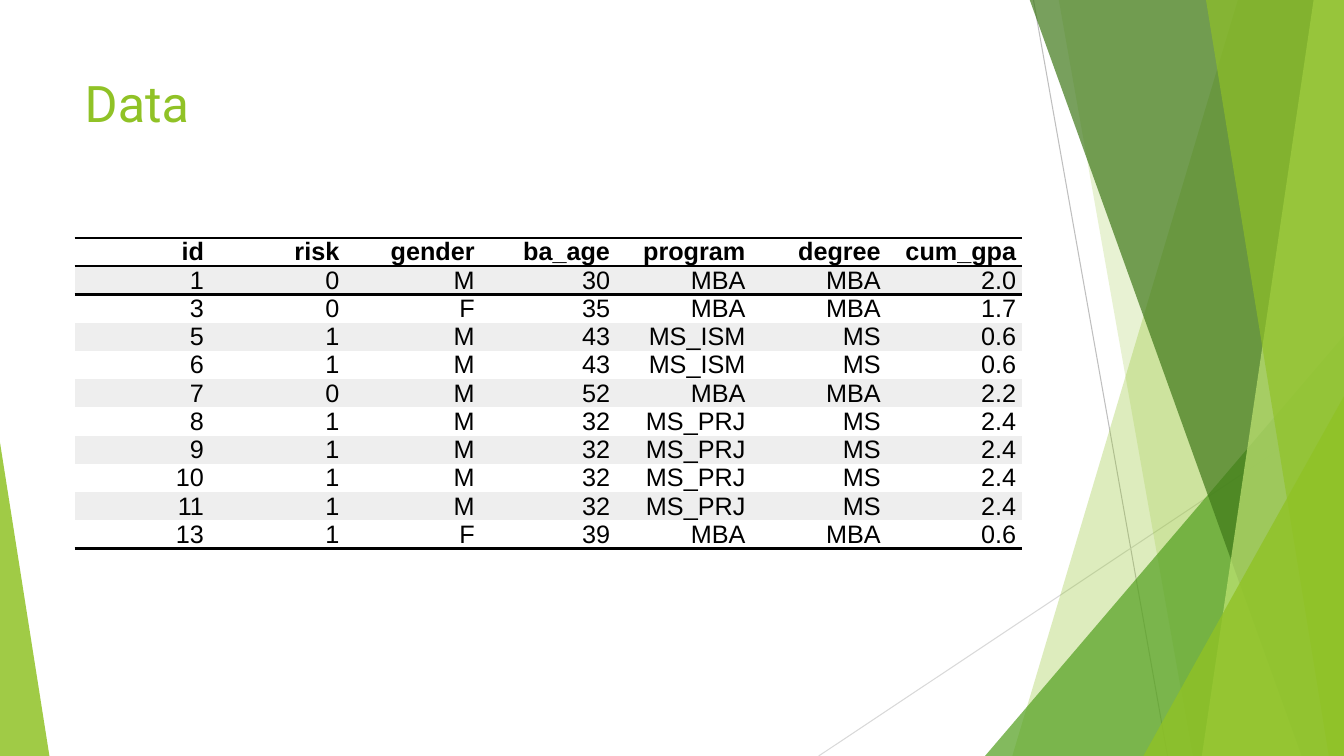
from dataclasses import dataclass

from lxml.etree import SubElement
from pptx import Presentation
from pptx.dml.color import RGBColor as RGB
from pptx.enum.shapes import MSO_CONNECTOR as CONN, MSO_SHAPE as SHAPE
from pptx.enum.text import MSO_ANCHOR as ANCHOR, PP_ALIGN as ALIGN
from pptx.oxml import parse_xml
from pptx.oxml.ns import nsdecls, qn
from pptx.util import Pt

PX = 9144  # EMU per px, 100 px to the inch
SLIDE_W, SLIDE_H = 1333, 750
NO_STYLE = "{2D5ABB26-0587-4C30-8999-92F81FD0307C}"


@dataclass(frozen=True)
class Theme:
    lime: str = "90C226"
    green: str = "54A021"
    forest: str = "3F7819"
    pale: str = "C0E474"
    ink: str = "000000"
    stripe: str = "EEEEEE"
    white: str = "FFFFFF"
    line_dark: str = "BFBFBF"
    line_light: str = "D9D9D9"
    title_font: str = "Roboto"
    table_font: str = "Arial"
    title_size: int = 36
    table_size: int = 18
    rule_width: int = 2


T = Theme()

HEADER = ["id", "risk", "gender", "ba_age", "program", "degree", "cum_gpa"]
STUDENTS = [
    ["1", "0", "M", "30", "MBA", "MBA", "2.0"],
    ["3", "0", "F", "35", "MBA", "MBA", "1.7"],
    ["5", "1", "M", "43", "MS_ISM", "MS", "0.6"],
    ["6", "1", "M", "43", "MS_ISM", "MS", "0.6"],
    ["7", "0", "M", "52", "MBA", "MBA", "2.2"],
    ["8", "1", "M", "32", "MS_PRJ", "MS", "2.4"],
    ["9", "1", "M", "32", "MS_PRJ", "MS", "2.4"],
    ["10", "1", "M", "32", "MS_PRJ", "MS", "2.4"],
    ["11", "1", "M", "32", "MS_PRJ", "MS", "2.4"],
    ["13", "1", "F", "39", "MBA", "MBA", "0.6"],
]


def px(*values):
    return [v * PX for v in values]


def paint(sp, color, alpha):
    """Flat fill with an opacity in percent, no outline or shadow."""
    sp.shadow.inherit = False
    sp.line.fill.background()
    sp.fill.solid()
    sp.fill.fore_color.rgb = RGB.from_string(color)
    clr = sp._element.spPr.find(".//" + qn("a:srgbClr"))
    SubElement(clr, qn("a:alpha")).set("val", str(alpha * 1000))


def add_ray(slide, start, end, color):
    line = slide.shapes.add_connector(CONN.STRAIGHT, *px(*start, *end))
    line.line.color.rgb = RGB.from_string(color)
    line.line.width = Pt(0.75)
    SubElement(line._element.spPr, qn("a:effectLst"))


def add_band(slide, top_x, bottom_x, color, alpha):
    """Full-height band from a slanted left side to the right slide edge."""
    fb = slide.shapes.build_freeform(top_x, -1, scale=PX)
    corners = [(SLIDE_W, -1), (SLIDE_W, SLIDE_H), (bottom_x, SLIDE_H)]
    fb.add_line_segments(corners, close=True)
    paint(fb.convert_to_shape(), color, alpha)


def add_corner(slide, left, top, width, apex, color, alpha):
    """Right triangle standing on the bottom edge of the slide."""
    box = px(left, top, width, SLIDE_H - top)
    sp = slide.shapes.add_shape(SHAPE.ISOSCELES_TRIANGLE, *box)
    sp.adjustments[0] = apex
    paint(sp, color, alpha)


def add_run(p, text, font, size, color, bold=False):
    r = p.add_run()
    r.text = text
    r.font.name, r.font.size, r.font.bold = font, Pt(size), bold
    r.font.color.rgb = RGB.from_string(color)


def add_title(slide, text):
    sp = slide.shapes.title
    sp.left, sp.top, sp.width, sp.height = px(74, 67, 940, 144)
    tf = sp.text_frame
    tf.word_wrap = True
    tf.vertical_anchor = ANCHOR.TOP
    p = tf.paragraphs[0]
    p.alignment = ALIGN.LEFT
    add_run(p, text, T.title_font, T.title_size, T.lime)
    slide.shapes._spTree.append(sp._element)  # in front of the decoration


def add_rule(cell, tag):
    """Cell border; tag is a:lnT or a:lnB."""
    cell._tc.get_or_add_tcPr().insert(0, parse_xml(
        f'<{tag} {nsdecls("a")} w="{Pt(T.rule_width)}"><a:solidFill>'
        f'<a:srgbClr val="{T.ink}"/></a:solidFill></{tag}>'))


def fill_cell(cell, text, fill, bold):
    cell.margin_left = cell.margin_right = 0
    cell.margin_top = cell.margin_bottom = 0
    cell.vertical_anchor = ANCHOR.MIDDLE
    if fill:
        cell.fill.solid()
        cell.fill.fore_color.rgb = RGB.from_string(fill)
    else:
        cell.fill.background()
    p = cell.text_frame.paragraphs[0]
    p.alignment = ALIGN.RIGHT
    p.space_before = p.space_after = Pt(1)
    pPr = p._p.get_or_add_pPr()
    for side in ("marL", "marR"):
        pPr.set(side, str(6 * PX))
    add_run(p, text, T.table_font, T.table_size, T.ink, bold)


def add_data_table(slide, rows):
    cols, row_h = len(rows[0]), 28
    box = px(74, 236, 940, row_h * len(rows))
    table = slide.shapes.add_table(len(rows), cols, *box).table
    table.first_row = table.horz_banding = False
    table._tbl.tblPr.find(qn("a:tableStyleId")).text = NO_STYLE
    last = len(rows) - 1
    for i, row in enumerate(rows):
        fill = (T.stripe if i % 2 else T.white) if i else None
        for j, text in enumerate(row):
            cell = table.cell(i, j)
            fill_cell(cell, text, fill, bold=i == 0)
            if i in (0, last):
                add_rule(cell, "a:lnB")
            if i in (0, 1):
                add_rule(cell, "a:lnT")


def main():
    prs = Presentation()
    prs.slide_width, prs.slide_height = px(SLIDE_W, SLIDE_H)
    slide = prs.slides.add_slide(prs.slide_layouts[5])

    # Faceted decoration, back to front
    add_ray(slide, (1025, 0), (1158, 750), T.line_dark)
    add_ray(slide, (1333, 403), (812, 750), T.line_light)
    add_band(slide, 1228, 1004, T.lime, 30)
    add_band(slide, 1050, 1183, T.lime, 20)
    add_corner(slide, 977, 333, 356, 1, T.green, 72)
    add_band(slide, 1021, 1291, T.forest, 70)
    add_band(slide, 1303, 1192, T.pale, 70)
    add_band(slide, 1196, 1318, T.lime, 65)
    add_corner(slide, 1134, 393, 199, 1, T.lime, 80)
    add_corner(slide, 0, 439, 49, 0, T.lime, 85)

    # Content
    add_title(slide, "Data")
    add_data_table(slide, [HEADER] + STUDENTS)

    prs.save("out.pptx")


if __name__ == "__main__":
    main()
